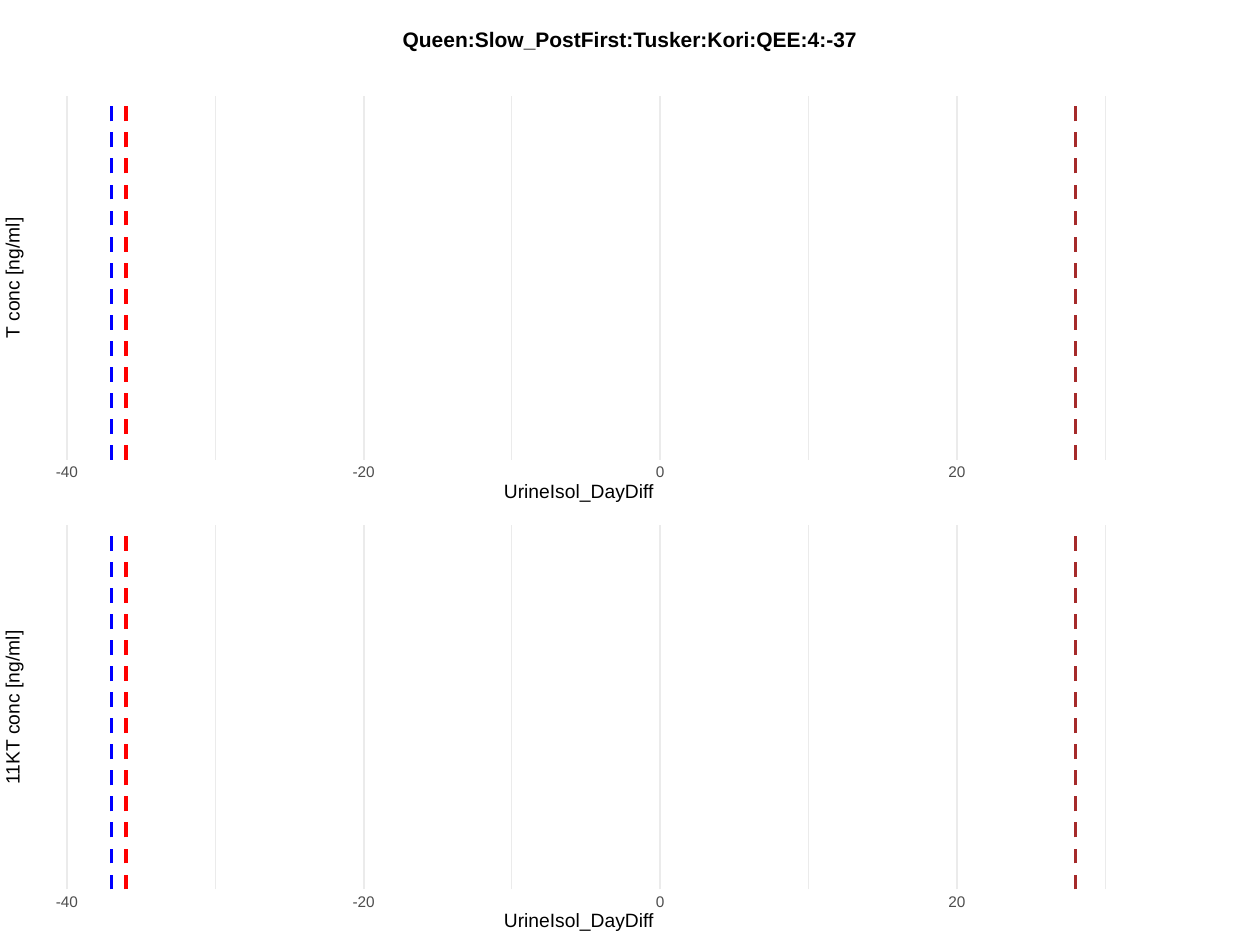
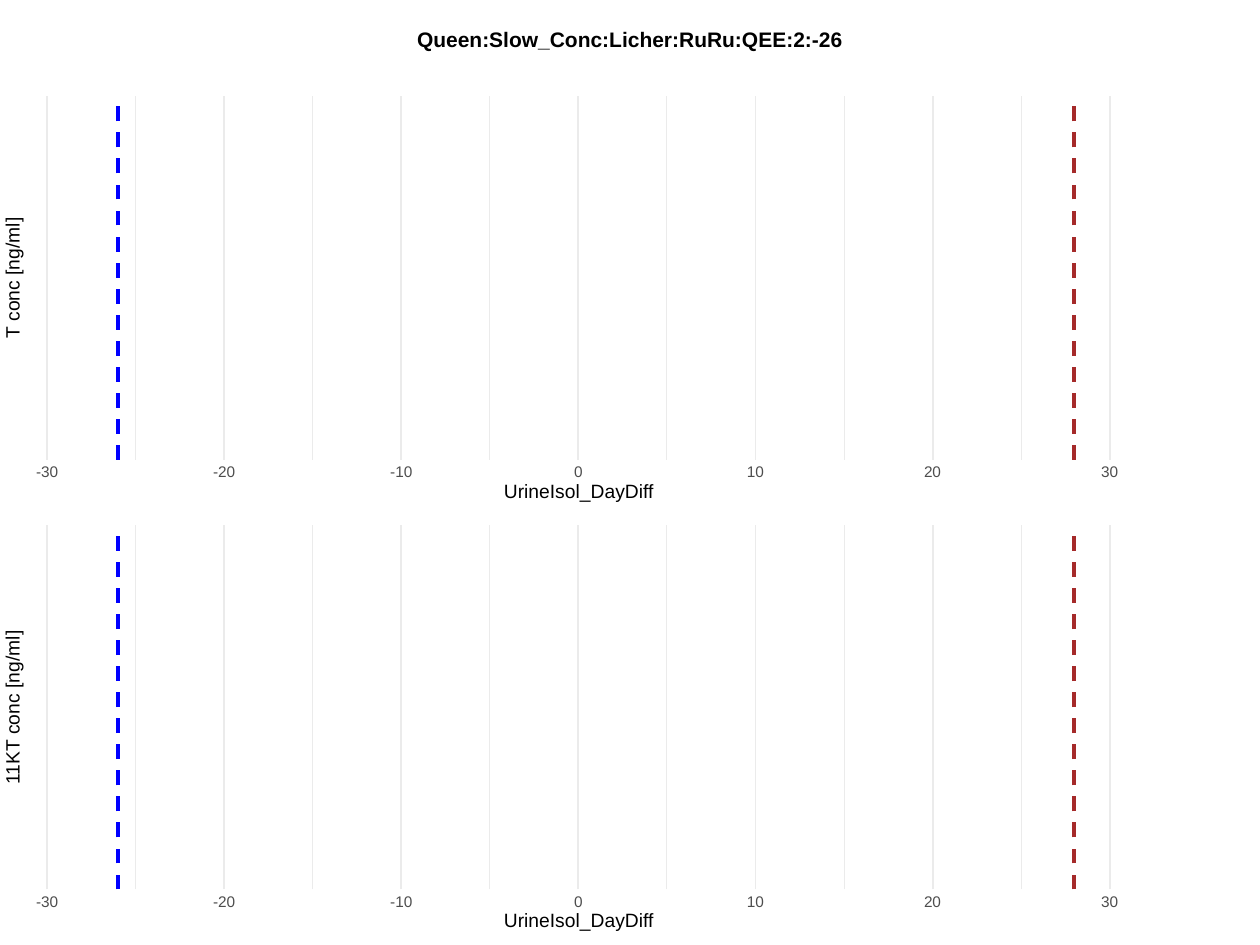
from dataclasses import dataclass

from lxml import etree
from pptx import Presentation
from pptx.dml.color import RGBColor
from pptx.enum.dml import MSO_LINE
from pptx.enum.shapes import MSO_CONNECTOR
from pptx.enum.text import MSO_ANCHOR, MSO_AUTO_SIZE, PP_ALIGN
from pptx.oxml.ns import qn
from pptx.util import Cm, Pt

STRAIGHT = MSO_CONNECTOR.STRAIGHT
DASH = MSO_LINE.DASH
CENTER = PP_ALIGN.CENTER
MIDDLE = MSO_ANCHOR.MIDDLE
NO_AUTOFIT = MSO_AUTO_SIZE.NONE
TITLE_ONLY = 5

FONT = "Arial"
WHITE, BLACK, GRID, TICK = "FFFFFF", "000000", "EBEBEB", "4D4D4D"
RED, BLUE, BROWN = "FF0000", "0000FF", "A52A2A"

# Lengths in centimetres
SLIDE_W, SLIDE_H = 25.4, 19.05
TITLE_Y = 0.83
PANEL_H = 7.34
TICK_GAP, X_TITLE_GAP = 0.27, 0.66
X_TITLE_CENTER, Y_TITLE_CENTER = 11.67, 0.28
DIGIT_W, MINUS_W = 0.17, 0.11


@dataclass(frozen=True)
class Panel:
    top: float
    y_title: str
    y_title_width: float


@dataclass(frozen=True)
class Marker:
    day: int
    color: str


@dataclass(frozen=True)
class Page:
    title: str
    title_width: float
    zero_x: float
    ten_days: float
    major: range
    minor: range
    markers: tuple[Marker, ...]

    def x(self, day: int) -> float:
        return self.zero_x + day / 10 * self.ten_days


PANELS = (
    Panel(1.93, "T conc [ng/ml]", 2.44),
    Panel(10.59, "11KT conc [ng/ml]", 3.12),
)

PAGES = (
    Page("Queen:Slow_PostFirst:Tusker:Kori:QEE:4:-37", 9.2, 13.31, 2.99,
         range(-40, 21, 20), range(-30, 31, 20),
         (Marker(-36, RED), Marker(-37, BLUE), Marker(28, BROWN))),
    Page("Queen:Slow_Conc:Licher:RuRu:QEE:2:-26", 8.6, 11.66, 3.57,
         range(-30, 31, 10), range(-25, 26, 10),
         (Marker(-26, BLUE), Marker(28, BROWN))),
)


def rgb(color: str) -> RGBColor:
    return RGBColor.from_string(color)


def put_text(slide, text: str, x: float, y: float, width: float, *, size: float = 11,
             color: str = BLACK, bold: bool = False, rotation: int = 0, sp=None) -> None:
    """Centre one line of text on (x, y), in sp or in a new text box."""
    height = size * 0.03
    sp = sp or slide.shapes.add_textbox(0, 0, 0, 0)
    sp.left, sp.top = Cm(x - width / 2), Cm(y - height / 2)
    sp.width, sp.height = Cm(width), Cm(height)
    sp.rotation = rotation
    tf = sp.text_frame
    tf.margin_left = tf.margin_right = tf.margin_top = tf.margin_bottom = 0
    tf.auto_size, tf.word_wrap, tf.vertical_anchor = NO_AUTOFIT, False, MIDDLE
    p = tf.paragraphs[0]
    p.alignment, p.line_spacing = CENTER, Pt(size)
    r = p.add_run()
    r.text = text
    r.font.name, r.font.size, r.font.bold = FONT, Pt(size), bold
    r.font.color.rgb = rgb(color)


def vertical_line(slide, x: float, top: float, color: str, weight: float,
                  dash=None) -> None:
    """Draw a line from the foot of a panel to its top."""
    line = slide.shapes.add_connector(STRAIGHT, Cm(x), Cm(top + PANEL_H), Cm(x), Cm(top))
    line.line.color.rgb = rgb(color)
    line.line.width = Pt(weight)
    if dash:
        line.line.dash_style = dash
    etree.SubElement(line._element.spPr, qn("a:effectLst"))


def draw_panel(slide, page: Page, panel: Panel) -> None:
    for days, weight in ((page.minor, 0.53), (page.major, 1.07)):
        for day in days:
            vertical_line(slide, page.x(day), panel.top, GRID, weight)
    for marker in page.markers:
        vertical_line(slide, page.x(marker.day), panel.top, marker.color, 2.13, DASH)

    bottom = panel.top + PANEL_H
    for day in page.major:
        width = len(str(abs(day))) * DIGIT_W + (day < 0) * MINUS_W
        put_text(slide, str(day), page.x(day), bottom + TICK_GAP, width,
                 size=8.8, color=TICK)
    put_text(slide, "UrineIsol_DayDiff", X_TITLE_CENTER, bottom + X_TITLE_GAP, 3.02)
    put_text(slide, panel.y_title, Y_TITLE_CENTER, panel.top + PANEL_H / 2,
             panel.y_title_width, rotation=270)


def main() -> None:
    prs = Presentation()
    prs.slide_width, prs.slide_height = Cm(SLIDE_W), Cm(SLIDE_H)
    background = prs.slide_master.background.fill
    background.solid()
    background.fore_color.rgb = rgb(WHITE)
    for page in PAGES:
        slide = prs.slides.add_slide(prs.slide_layouts[TITLE_ONLY])
        put_text(slide, page.title, SLIDE_W / 2, TITLE_Y, page.title_width,
                 size=12, bold=True, sp=slide.shapes.title)
        for panel in PANELS:
            draw_panel(slide, page, panel)
    prs.save("out.pptx")


if __name__ == "__main__":
    main()
